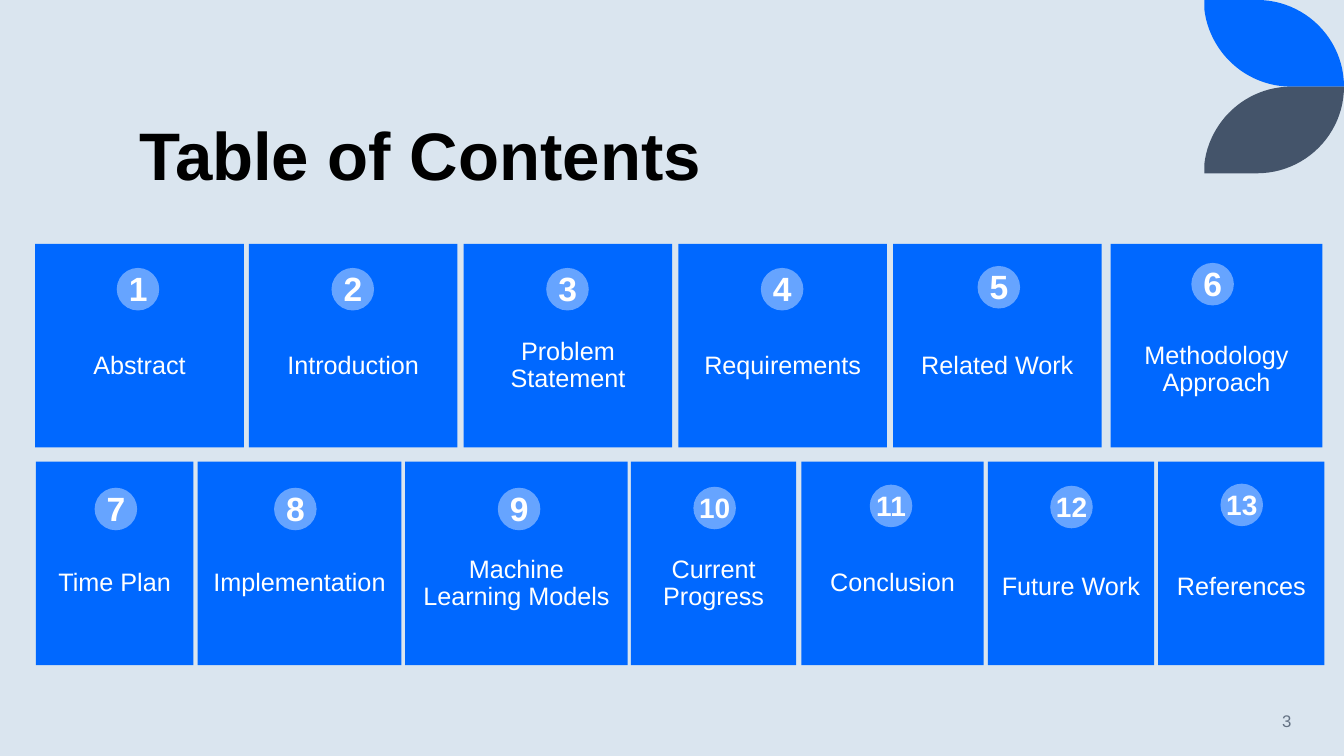
import pptx
import pptx.util
import pptx.dml.color
import pptx.enum.shapes
import pptx.enum.text

Pt = pptx.util.Pt
Shape = pptx.enum.shapes.MSO_SHAPE
Align = pptx.enum.text.PP_ALIGN
Anchor = pptx.enum.text.MSO_ANCHOR

COLORS = {
    "back": "DAE5EF", "blue": "0068FF", "slate": "44546A", "disc": "66A4FF",
    "white": "FFFFFF", "black": "000000", "gray": "637183",
}
TITLE = "Table of Contents"
PAGE = "3"
# label, left, width, disc centre x, disc centre y, label bleed
ROWS = [
    (174.24, [
        ("Abstract", 25.2, 149, 98.6, 206.6, 0),
        ("Introduction", 177.8, 149, 252, 206.6, 0),
        ("Problem Statement", 331.2, 149, 405.4, 206.6, 0),
        ("Requirements", 484.6, 149, 558.7, 206.6, 0),
        ("Related Work", 637.9, 149, 713.5, 205.2, 0),
        ("Methodology Approach", 793.4, 151.2, 866.2, 203, 7.6),
    ]),
    (329.8, [
        ("Time Plan", 25.6, 112.5, 82.8, 363.6, 0),
        ("Implementation", 141.1, 145.6, 211, 363.6, 0),
        ("Machine Learning Models", 289.4, 159, 370.8, 363.6, 0),
        ("Current Progress", 450.7, 118.1, 510.5, 362.9, 0),
        ("Conclusion", 572.4, 130.3, 636.5, 361.4, 0),
        ("Future Work", 705.6, 118.8, 765.4, 362.2, 5.8),
        ("References", 827.3, 118.8, 887, 360.7, 5.8),
    ]),
]
TALL, DISC = 145.4, 30.4
LEAF = [
    [(860.2, 0), (897.8, 0)],
    [(897.8, 0), (932.1, 0), (960, 27.7), (960, 61.9)],
    [(960, 61.9), (922.3, 61.9)],
    [(922.3, 61.9), (890, 61.9), (863.6, 37.2), (860.2, 6.2)],
]
STEPS = 24


def color(name):
    return pptx.dml.color.RGBColor.from_string(COLORS[name])


def paint(shape, name):
    shape.shadow.inherit = False
    shape.fill.solid()
    shape.fill.fore_color.rgb = color(name)
    shape.line.fill.background()


def block(slide, kind, box, name):
    paint(slide.shapes.add_shape(kind, *map(Pt, box)), name)


def write(slide, text, box, size, name, bold=False, align=Align.CENTER,
          anchor=Anchor.MIDDLE, inset=None, lead=None, after=None):
    frame = slide.shapes.add_textbox(*map(Pt, box)).text_frame
    frame.word_wrap = True
    frame.vertical_anchor = anchor
    if inset is not None:
        frame.margin_left = frame.margin_right = Pt(inset)
        frame.margin_top = frame.margin_bottom = Pt(inset)
    frame.text = text
    para = frame.paragraphs[0]
    para.alignment = align
    if lead is not None:
        para.line_spacing = lead
    if after is not None:
        para.space_after = Pt(after)
    font = para.runs[0].font
    font.name, font.size, font.bold = "Arial", Pt(size), bold
    font.color.rgb = color(name)


def curve(knots, t):
    while len(knots) > 1:
        knots = [(a + (c - a) * t, b + (d - b) * t)
                 for (a, b), (c, d) in zip(knots, knots[1:])]
    return knots[0]


def leaf(slide, name, flip):
    dots = []
    for part in LEAF:
        count = STEPS if len(part) == 4 else 1
        dots += [curve(part, n / count) for n in range(1, count + 1)]
    dots = [(Pt(x), Pt(2 * 61.9 - y if flip else y)) for x, y in [LEAF[0][0]] + dots]
    form = slide.shapes.build_freeform(*dots[0])
    form.add_line_segments(dots[1:], close=True)
    paint(form.convert_to_shape(), name)


def card(slide, num, top, item):
    label, left, width, mid, level, bleed = item
    block(slide, Shape.RECTANGLE, (left, top, width, TALL), "blue")
    drop = 60.5 if bleed else 58
    write(slide, label, (left - bleed, top + drop, width + 2 * bleed, 58.3), 18,
          "white", inset=10.1, lead=0.9, after=6.3)
    block(slide, Shape.OVAL, (mid - DISC / 2, level - DISC / 2, DISC, DISC), "disc")
    size, wide, high = (24, 27.4, 36.3) if num < 10 else (20, 40.3, 31.5)
    write(slide, str(num), (mid - wide / 2, level - 0.5 - high / 2, wide, high),
          size, "white", bold=True, anchor=Anchor.TOP)


def main():
    """Build the table of contents slide."""
    deck = pptx.Presentation()
    deck.slide_width, deck.slide_height = Pt(960), Pt(540)
    slide = deck.slides.add_slide(deck.slide_layouts[6])
    slide.background.fill.solid()
    slide.background.fill.fore_color.rgb = color("back")
    leaf(slide, "blue", False)
    leaf(slide, "slate", True)
    write(slide, TITLE, (92.2, 38.2, 769.7, 104.4), 48, "black", bold=True,
          align=Align.LEFT, anchor=Anchor.BOTTOM, lead=0.9)
    num = 0
    for top, items in ROWS:
        for item in items:
            num += 1
            card(slide, num, top, item)
    write(slide, PAGE, (799.2, 500.4, 130.3, 28.8), 12, "gray", align=Align.RIGHT)
    deck.save("out.pptx")


if __name__ == "__main__":
    main()
